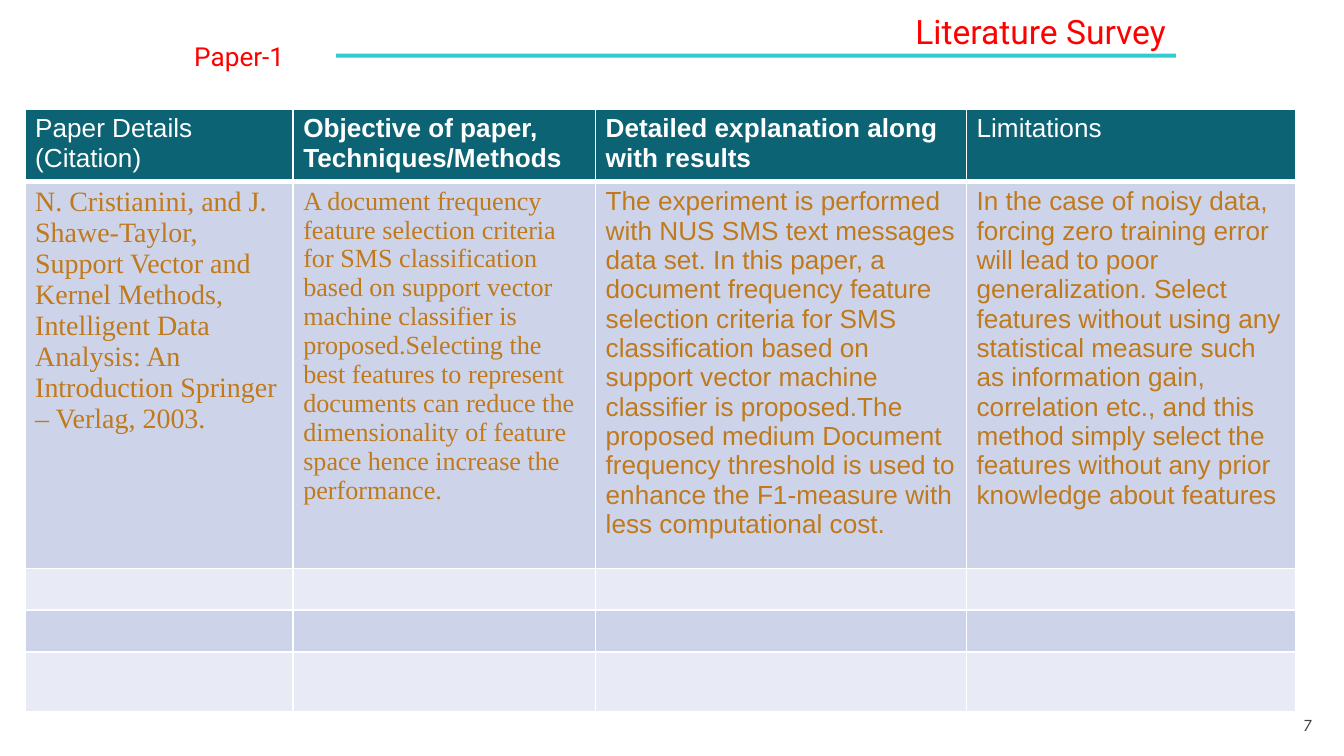
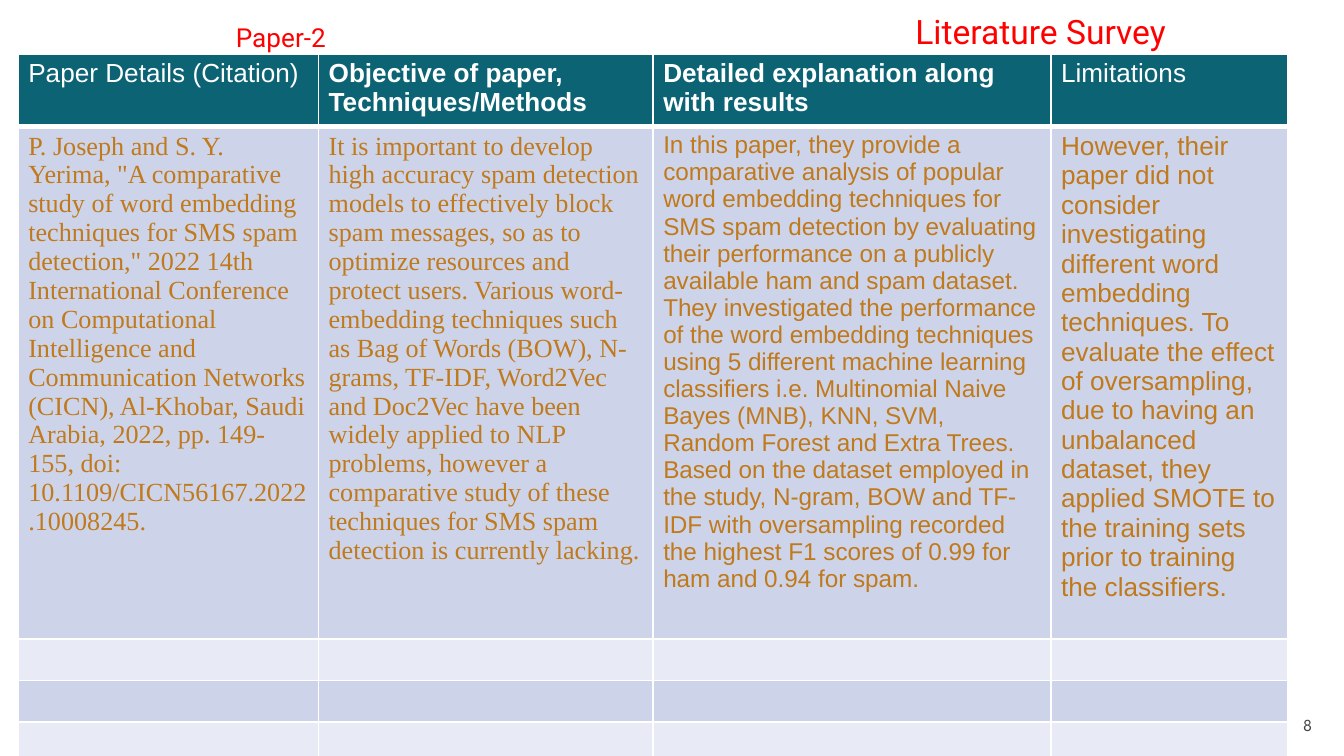
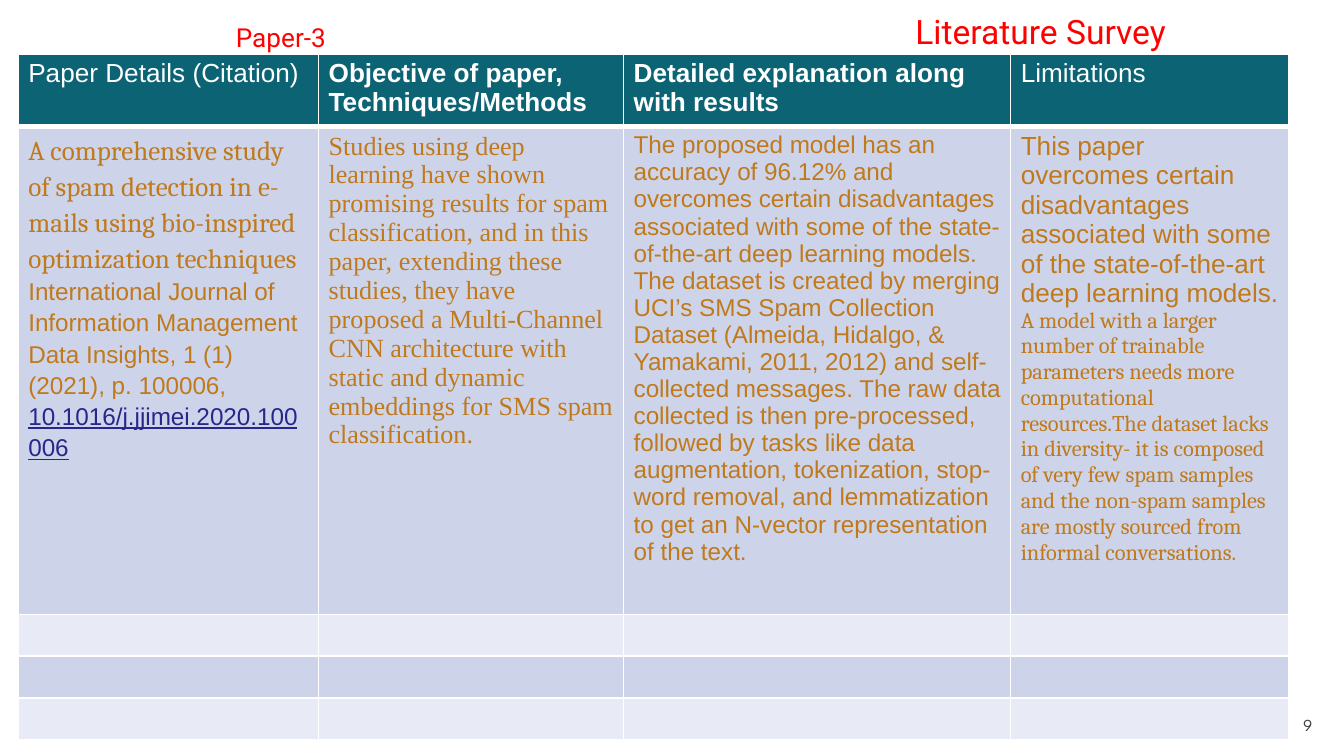
"""Build three literature survey slides, each with one paper table."""
from lxml.etree import SubElement
from pptx import Presentation
from pptx.dml.color import RGBColor
from pptx.enum.shapes import MSO_SHAPE
from pptx.enum.text import MSO_ANCHOR, MSO_AUTO_SIZE, PP_ALIGN
from pptx.oxml.ns import qn
from pptx.util import Emu, Inches, Pt

RED, TEAL, CYAN, WHITE = "FF0000", "0B6374", "33CCCC", "FFFFFF"
OCHRE, NAVY, GREY = "C0791B", "27278B", "424242"
BANDS = ("CDD4EA", "E8EBF5")
INSETS = (0.75, 0.38)

TITLE = {"size": Pt(18), "name": "Roboto", "color": RED}
PAPER = {**TITLE, "size": Pt(14)}
NUMBER = {"size": Pt(9), "name": "League Spartan", "color": GREY}
ARIAL = {"size": Pt(14), "name": "Arial", "color": OCHRE, "bold": False}
SMALL = {**ARIAL, "size": Pt(13)}
LINK = {**SMALL, "color": NAVY, "underline": True}
TIMES = {**ARIAL, "name": "Times New Roman"}
LARGE_TIMES = {**TIMES, "size": Pt(15)}
CAMBRIA = {**ARIAL, "name": "Cambria", "size": Pt(14.5)}
SMALL_CAMBRIA = {**CAMBRIA, "size": Pt(12)}
HEADER = {**ARIAL, "color": WHITE}
BOLD_HEADER = {**HEADER, "bold": True}

HEADERS = [
    [[("Paper Details (Citation)", HEADER)]],
    [[("Objective of paper, Techniques/Methods", BOLD_HEADER)]],
    [[("Detailed explanation along with results", BOLD_HEADER)]],
    [[("Limitations", HEADER)]],
]
LATER_LAYOUT = {
    "label_at": (8.1, 1.2),
    "table_at": (1.36, 4),
    "rows": (4.9, 36.3, 2.8, 2.8, 2.8),
}
PAPERS = [
    {
        "label_at": (5, 2.6),
        "table_at": (1.87, 8.1),
        "height": 44.9,
        "columns": (19.95, 22.5, 27.6, 24.5),
        "rows": (3.8, 18.7, 2.1, 2.5, 4.5),
        "spacing": None,
        "cells": [
            [
                [("N. Cristianini, and J.", LARGE_TIMES)],
                [("Shawe-Taylor, Support Vector and Kernel Methods, Intelligent Data "
                  "Analysis: An Introduction Springer – Verlag, 2003.", LARGE_TIMES)],
            ],
            [[("A document frequency feature selection criteria for SMS classification "
               "based on support vector machine classifier is proposed.Selecting the best "
               "features to represent documents can reduce the dimensionality of feature "
               "space hence increase the performance.", TIMES)]],
            [[("The experiment is performed with NUS SMS text messages data set. In this "
               "paper, a document frequency feature selection criteria for SMS "
               "classification based on support vector machine classifier is proposed.The "
               "proposed medium Document frequency threshold is used to enhance the "
               "F1-measure with less computational cost.", ARIAL)]],
            [[("In the case of noisy data, forcing zero training error will lead to poor "
               "generalization. Select features without using any statistical measure such "
               "as information gain, correlation etc., and this method simply select the "
               "features without any prior knowledge about features", ARIAL)]],
        ],
    },
    {
        **LATER_LAYOUT,
        "height": 51,
        "columns": (22.35, 24.9, 29.6, 17.65),
        "spacing": None,
        "cells": [
            [[('P. Joseph and S. Y. Yerima, "A comparative study of word embedding '
               'techniques for SMS spam detection," 2022 14th International Conference on '
               "Computational Intelligence and Communication Networks (CICN), Al-Khobar, "
               "Saudi Arabia, 2022, pp. 149-155, doi: "
               "10.1109/CICN56167.2022.10008245.", TIMES)]],
            [[("It is important to develop high accuracy spam detection models to "
               "effectively block spam messages, so as to optimize resources and protect "
               "users. Various word-embedding techniques such as Bag of Words (BOW), "
               "N-grams, TF-IDF, Word2Vec and Doc2Vec have been widely applied to NLP "
               "problems, however a comparative study of these techniques for SMS spam "
               "detection is currently lacking.", TIMES)]],
            [[("In this paper, they provide a comparative analysis of popular word "
               "embedding techniques for SMS spam detection by evaluating their "
               "performance on a publicly available ham and spam dataset. They "
               "investigated the performance of the word embedding techniques using 5 "
               "different machine learning classifiers i.e. Multinomial Naive Bayes (MNB), "
               "KNN, SVM, Random Forest and Extra Trees. Based on the dataset employed in "
               "the study, N-gram, BOW and TF-IDF with oversampling recorded the highest "
               "F1 scores of 0.99 for ham and 0.94 for spam.", SMALL)]],
            [[("However, their paper did not consider investigating different word "
               "embedding techniques. To evaluate the effect of oversampling, due to "
               "having an unbalanced dataset, they applied SMOTE to the training sets "
               "prior to training the classifiers.", ARIAL)]],
        ],
    },
    {
        **LATER_LAYOUT,
        "height": 51.4,
        "columns": (22.35, 22.7, 28.8, 20.7),
        "spacing": 1.15,
        "cells": [
            [
                [("A comprehensive study of spam detection in e-mails using bio-inspired "
                  "optimization techniques", CAMBRIA)],
                [("International Journal of Information Management Data Insights, 1 (1) "
                  "(2021), p. 100006, ", SMALL),
                 ("10.1016/j.jjimei.2020.100006", LINK)],
            ],
            [[("Studies using deep learning have shown promising results for spam "
               "classification, and in this paper, extending these studies, they have "
               "proposed a Multi-Channel CNN architecture with static and dynamic "
               "embeddings for SMS spam classification.", TIMES)]],
            [[("The proposed model has an accuracy of 96.12% and overcomes certain "
               "disadvantages associated with some of the state-of-the-art deep learning "
               "models. The dataset is created by merging UCI’s SMS Spam Collection "
               "Dataset (Almeida, Hidalgo, & Yamakami, 2011, 2012) and self-collected "
               "messages. The raw data collected is then pre-processed, followed by tasks "
               "like data augmentation, tokenization, stop-word removal, and "
               "lemmatization to get an N-vector representation of the text.", SMALL)]],
            [
                [("This paper overcomes certain disadvantages associated with some of the "
                  "state-of-the-art deep learning models.", ARIAL)],
                [("A model with a larger number of trainable parameters needs more "
                  "computational resources.The dataset lacks in diversity- it is composed "
                  "of very few spam samples and the non-spam samples are mostly sourced "
                  "from informal conversations.", SMALL_CAMBRIA)],
            ],
        ],
    },
]


def color(value):
    return RGBColor.from_string(value)


def set_all(target, values):
    for name, value in values.items():
        setattr(target, name, value)


class SurveyDeck:
    def __init__(self):
        self.deck = Presentation()
        set_all(self.deck, {"slide_width": Inches(10), "slide_height": Inches(5.625)})
        self.page = None

    def grid(self, *lengths):
        return [Emu(round(length * self.deck.slide_width / 100)) for length in lengths]

    def add_page(self):
        self.page = self.deck.slides.add_slide(self.deck.slide_layouts[6])

    def inset(self, target):
        side, edge = self.grid(*INSETS)
        set_all(target, {"margin_left": side, "margin_right": side,
                         "margin_top": edge, "margin_bottom": edge})

    def span(self, para, words, style):
        span = para.add_run()
        span.text = words
        values = dict(style)
        span.font.color.rgb = color(values.pop("color"))
        set_all(span.font, values)

    def rule(self, *place):
        bar = self.page.shapes.add_shape(MSO_SHAPE.RECTANGLE, *self.grid(*place))
        bar.shadow.inherit = False
        bar.fill.solid()
        bar.fill.fore_color.rgb = color(CYAN)
        bar.line.fill.background()

    def text(self, place, words, style, hanging=True):
        box = self.page.shapes.add_textbox(*self.grid(*place))
        self.inset(box.text_frame)
        set_all(box.text_frame, {
            "word_wrap": True,
            "auto_size": MSO_AUTO_SIZE.SHAPE_TO_FIT_TEXT if hanging else MSO_AUTO_SIZE.NONE,
            "vertical_anchor": MSO_ANCHOR.TOP if hanging else MSO_ANCHOR.MIDDLE,
        })
        para = box.text_frame.paragraphs[0]
        para.alignment = PP_ALIGN.RIGHT
        if hanging:
            indent = self.grid(2.8)[0]
            properties = para._p.get_or_add_pPr()
            properties.set("marL", str(indent))
            properties.set("indent", str(-indent))
        self.span(para, words, style)

    def borders(self, cell, bottom):
        properties = cell._tc.get_or_add_tcPr()
        for side, width in (("L", 1), ("R", 1), ("T", 1), ("B", bottom)):
            line = SubElement(properties, qn(f"a:ln{side}"), w=str(Pt(width)))
            SubElement(SubElement(line, qn("a:solidFill")), qn("a:srgbClr"), val=WHITE)

    def cell(self, cell, paragraphs, fill, spacing=None, bottom=1):
        self.inset(cell)
        self.borders(cell, bottom)
        cell.fill.solid()
        cell.fill.fore_color.rgb = color(fill)
        frame = cell.text_frame
        for index, spans in enumerate(paragraphs):
            para = frame.add_paragraph() if index else frame.paragraphs[0]
            if spacing:
                para.line_spacing = spacing
            for words, style in spans:
                self.span(para, words, style)
        if not paragraphs:
            SubElement(frame.paragraphs[0]._p, qn("a:endParaRPr"), sz="1400")

    def table(self, paper):
        columns, rows = paper["columns"], paper["rows"]
        place = self.grid(*paper["table_at"], sum(columns), paper["height"])
        frame = self.page.shapes.add_table(len(rows), len(columns), *place)
        table = frame.table
        for column, width in zip(table.columns, self.grid(*columns)):
            column.width = width
        for row, height in zip(table.rows, self.grid(*rows)):
            row.height = height
        frame.height = place[-1]
        for index, header in enumerate(HEADERS):
            self.cell(table.cell(0, index), header, TEAL, bottom=3)
            for row in range(1, len(rows)):
                content = paper["cells"][index] if row == 1 else []
                spacing = paper["spacing"] if row == 1 and index == 0 else None
                self.cell(table.cell(row, index), content, BANDS[(row - 1) % 2], spacing)


def main():
    survey = SurveyDeck()
    for number, paper in enumerate(PAPERS, start=1):
        survey.add_page()
        survey.rule(25, 4, 62.5, 0.3)
        survey.text((34.4, 0.4, 53.1, 3.8), "Literature Survey", TITLE)
        survey.table(paper)
        survey.text((*paper["label_at"], 16.9, 3.1), f"Paper-{number}", PAPER)
        survey.text((92.4, 51.8, 6, 4.3), str(number + 6), NUMBER, hanging=False)
    survey.deck.save("out.pptx")


if __name__ == "__main__":
    main()
